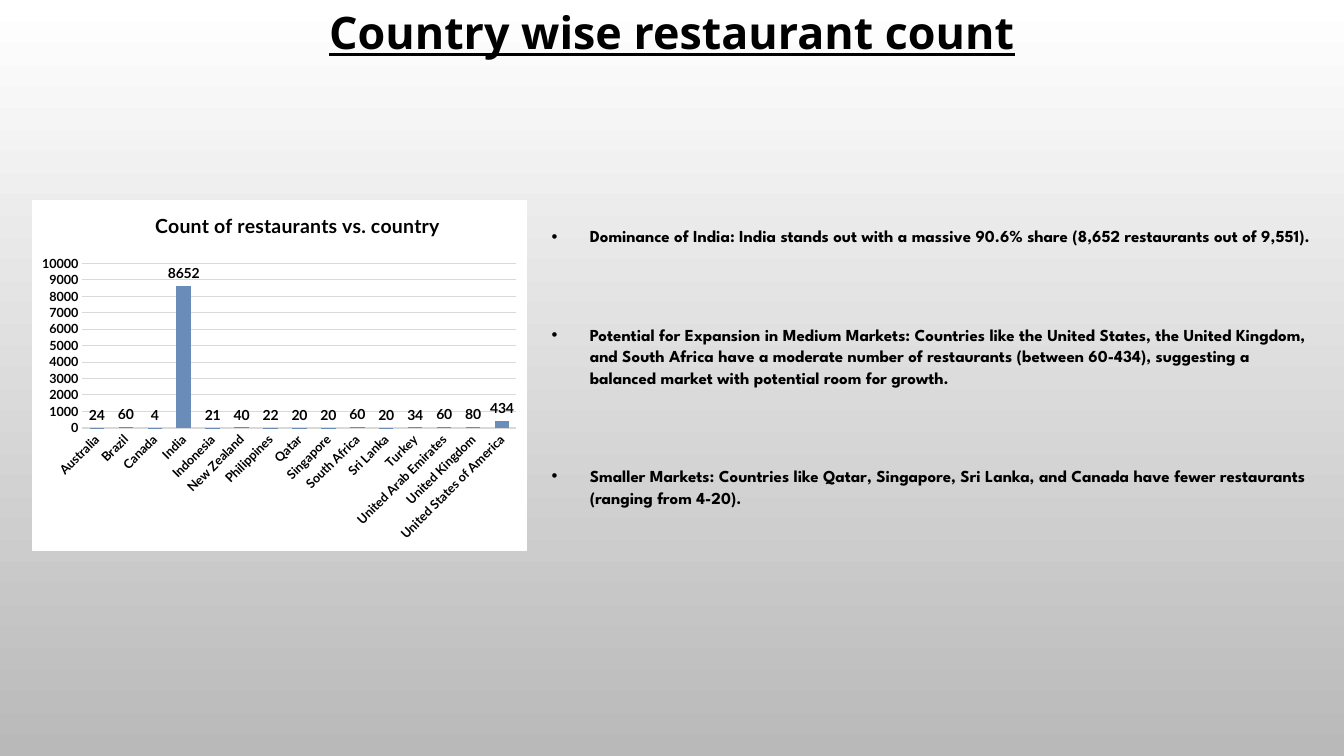
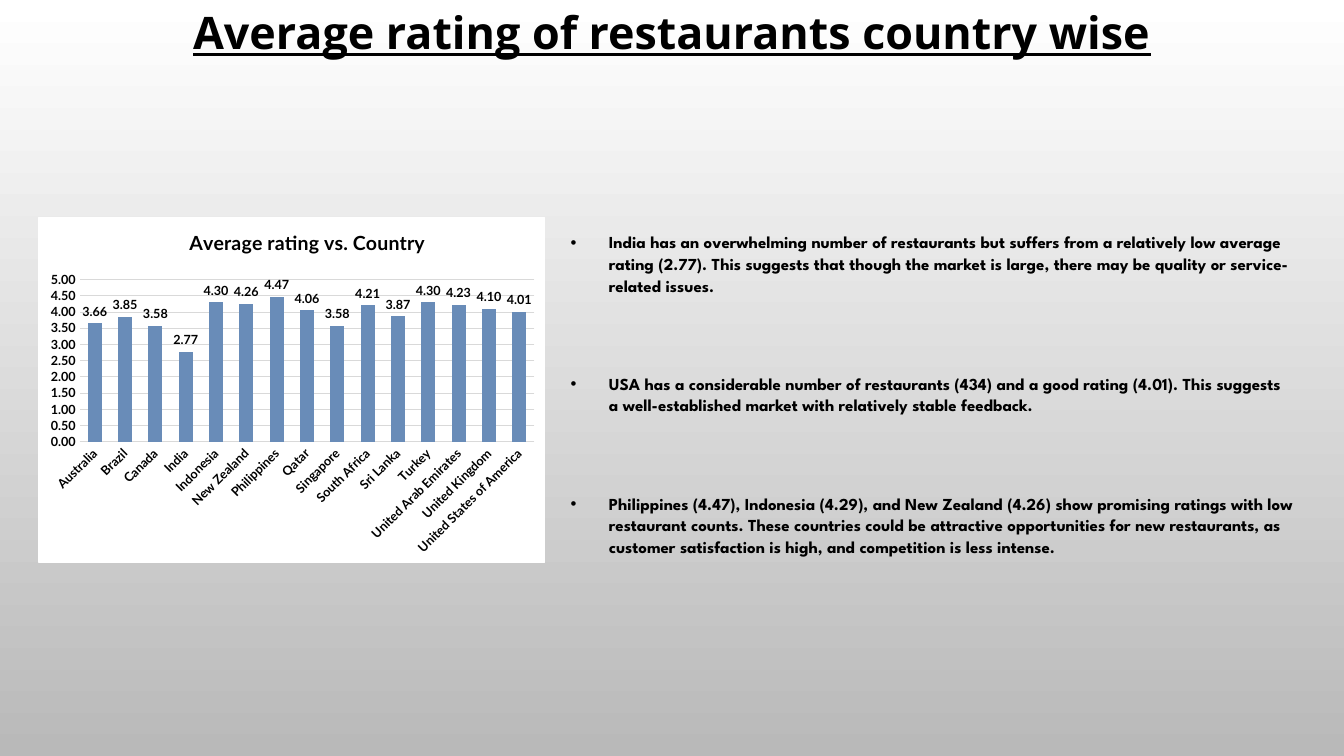
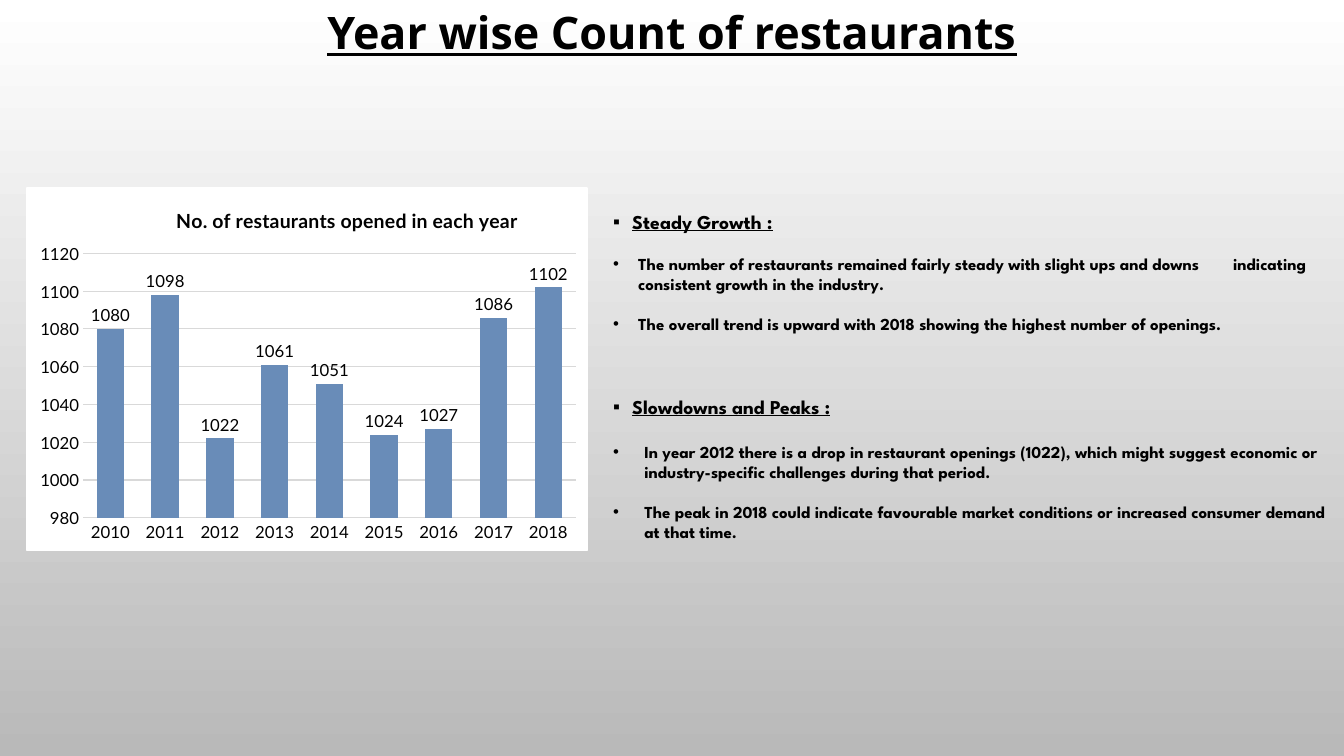
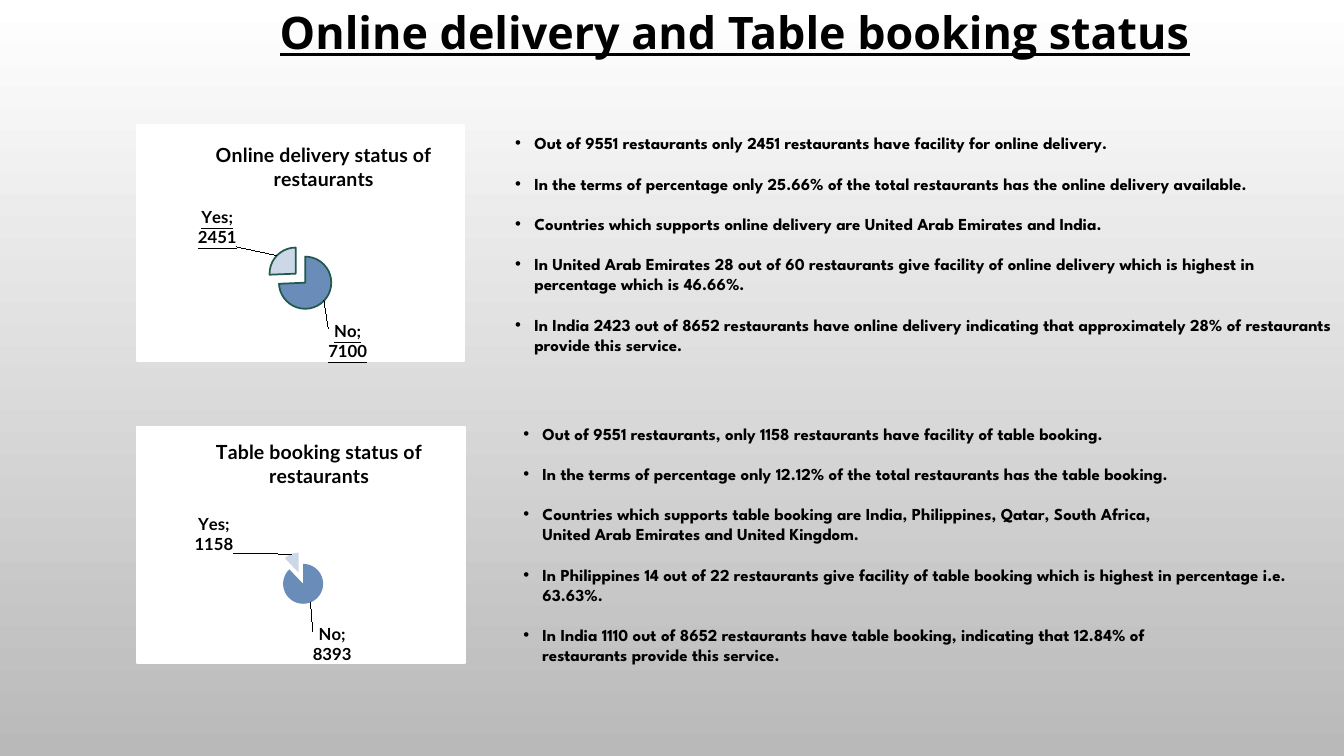
from lxml import etree
from pptx import Presentation
from pptx.chart.data import CategoryChartData
from pptx.dml.color import RGBColor
from pptx.enum.chart import XL_CHART_TYPE, XL_LABEL_POSITION, XL_TICK_MARK
from pptx.enum.text import MSO_ANCHOR, MSO_AUTO_SIZE, PP_ALIGN
from pptx.oxml import parse_xml
from pptx.oxml.ns import nsdecls, qn
from pptx.util import Inches, Pt

COLUMN, PIE = XL_CHART_TYPE.COLUMN_CLUSTERED, XL_CHART_TYPE.PIE
OUTSIDE_END = XL_LABEL_POSITION.OUTSIDE_END
NO_TICKS = XL_TICK_MARK.NONE
TOP = MSO_ANCHOR.TOP
NO_FIT = MSO_AUTO_SIZE.NONE
CENTER = PP_ALIGN.CENTER

COLORS = {"text": "000000", "page_top": "FFFFFF", "page_bottom": "B9B9B9",
          "panel": "FFFFFF", "grid": "D9D9D9", "bar": "698CB8",
          "pale": "CCD8E7", "slice_line": "21594C"}
RGB = {name: RGBColor.from_string(value) for name, value in COLORS.items()}
TITLE_FONT, BODY_FONT, CHART_FONT = "Open Sans", "League Spartan", "Lato"

# Space after list items, in points
WIDE, HEADING_GAP, SECTION_GAP, NARROW = 54.8, 16.8, 43.2, 14.4


def write_text(paragraph, text, font=BODY_FONT, size=12, underline=False, align=None,
               after=0, spacing=1.0, bullet=None, indent=0.0, hanging=True, tab=None):
    run = paragraph.add_run()
    run.text = text
    run.font.name, run.font.size = font, Pt(size)
    run.font.bold, run.font.underline = True, underline
    run.font.color.rgb = RGB["text"]
    if align is not None:
        paragraph.alignment = align
        return
    paragraph.line_spacing = spacing
    paragraph.space_before, paragraph.space_after = Pt(0), Pt(after)
    properties = paragraph._p.get_or_add_pPr()
    properties.set("marL", str(Inches(indent)))
    properties.set("indent", str(-Inches(indent) if hanging else 0))
    if bullet:
        etree.SubElement(properties, qn("a:buFont")).set("typeface", "Arial")
        etree.SubElement(properties, qn("a:buChar")).set("char", bullet)
    else:
        etree.SubElement(properties, qn("a:buNone"))
    if tab:
        stops = etree.SubElement(properties, qn("a:tabLst"))
        stop = etree.SubElement(stops, qn("a:tab"))
        stop.set("pos", str(Inches(tab)))
        stop.set("algn", "l")


def set_layout(parent, index, **settings):
    for old in parent.findall(qn("c:layout")):
        parent.remove(old)
    layout = etree.Element(qn("c:layout"))
    manual = etree.SubElement(layout, qn("c:manualLayout"))
    for name, value in settings.items():
        etree.SubElement(manual, qn("c:" + name)).set("val", str(value))
    parent.insert(index, layout)


# Content
COUNTRIES = ["Australia", "Brazil", "Canada", "India", "Indonesia", "New Zealand",
             "Philippines", "Qatar", "Singapore", "South Africa", "Sri Lanka", "Turkey",
             "United Arab Emirates", "United Kingdom", "United States of America"]
YEARS = [str(year) for year in range(2010, 2019)]

wide_item = dict(bullet="•", indent=0.38, spacing=1.07, after=WIDE)
heading = dict(bullet="▪", indent=0.19, size=14, underline=True)
growth_item = dict(bullet="•", indent=0.25, after=NARROW)
peak_item = dict(bullet="•", indent=0.31, after=NARROW)
short_item = dict(bullet="•", indent=0.19, after=NARROW)
open_item = dict(short_item, after=0)
second_line = dict(indent=0.19, hanging=False)

SLIDES = [
    dict(
        title="Country wise restaurant count",
        charts=[dict(
            kind=COLUMN, at=(0.32, 1.98, 4.91, 3.49), title="Count of restaurants vs. country",
            title_at=(0.24, 0.02), plot=(0.1, 0.18, 0.88, 0.47), categories=COUNTRIES,
            values=[24, 60, 4, 8652, 21, 40, 22, 20, 20, 60, 20, 34, 60, 80, 434],
            scale=(0, 10000, 1000), gap=100, overlap=-24, rotation=-45)],
        lists=[dict(at=(5.37, 2.18, 7.82, 3.13), items=[
            ("Dominance of India: India stands out with a massive 90.6% share (8,652 "
             "restaurants out of 9,551).", wide_item),
            ("Potential for Expansion in Medium Markets: Countries like the United States, "
             "the United Kingdom, and South Africa have a moderate number of restaurants "
             "(between 60-434), suggesting a balanced market with potential room for "
             "growth.", wide_item),
            ("Smaller Markets: Countries like Qatar, Singapore, Sri Lanka, and Canada have "
             "fewer restaurants (ranging from 4-20).", wide_item)])]),
    dict(
        title="Average rating of restaurants country wise",
        charts=[dict(
            kind=COLUMN, at=(0.38, 2.15, 5.03, 3.44), title="Average rating vs. Country",
            title_at=(0.29, 0.02), plot=(0.08, 0.18, 0.9, 0.47), categories=COUNTRIES,
            values=[3.66, 3.85, 3.58, 2.77, 4.3, 4.26, 4.47, 4.06, 3.58, 4.21, 3.87, 4.3,
                    4.23, 4.1, 4.01],
            scale=(0, 5, 0.5), gap=115, label_size=9, rotation=-45, number_format="0.00")],
        lists=[dict(at=(5.56, 1.91, 7.39, 3.68), inset=0.38, items=[
            ("India has an overwhelming number of restaurants but suffers from a relatively "
             "low average rating (2.77). This suggests that though the market is large, there "
             "may be quality or service-related issues.", wide_item),
            ("USA has a considerable number of restaurants (434) and a good rating (4.01). "
             "This suggests a well-established market with relatively stable feedback.",
             wide_item),
            ("Philippines (4.47), Indonesia (4.29), and New Zealand (4.26) show promising "
             "ratings with low restaurant counts. These countries could be attractive "
             "opportunities for new restaurants, as customer satisfaction is high, and "
             "competition is less intense.", wide_item)])]),
    dict(
        title="Year wise Count of restaurants",
        charts=[dict(
            kind=COLUMN, at=(0.26, 1.86, 5.57, 3.61),
            title="No. of restaurants opened in each year",
            title_at=(0.26, 0.04), plot=(0.1, 0.18, 0.88, 0.73), categories=YEARS,
            values=[1080, 1098, 1022, 1061, 1051, 1024, 1027, 1086, 1102],
            scale=(980, 1120, 20), gap=100, overlap=-24, label_size=12, axis_size=12,
            bold=False)],
        lists=[dict(at=(5.98, 2.03, 7.42, 3.43), items=[
            ("Steady Growth :", dict(heading, after=NARROW)),
            ("The number of restaurants remained fairly steady with slight ups and downs\t"
             "indicating consistent growth in the industry.", dict(growth_item, tab=6.15)),
            ("The overall trend is upward with 2018 showing the highest number of openings.",
             dict(growth_item, after=SECTION_GAP)),
            ("Slowdowns and Peaks :", dict(heading, after=HEADING_GAP)),
            ("In year 2012 there is a drop in restaurant openings (1022), which might suggest "
             "economic or industry-specific challenges during that period.", peak_item),
            ("The peak in 2018 could indicate favourable market conditions or increased "
             "consumer demand at that time.", peak_item)])]),
    dict(
        title="Online delivery and Table booking status", title_inset=1.35,
        charts=[
            dict(kind=PIE, at=(1.35, 1.23, 3.26, 2.36),
                 title="Online delivery status of restaurants",
                 title_at=(0.23, 0.05), plot=(0.4, 0.51, 0.2, 0.28),
                 categories=["No", "Yes"], values=[7100, 2451], explosion=25,
                 outlined=True, label_size=12, label_shifts=[(0, 0.1), (-0.11, -0.02)]),
            dict(kind=PIE, at=(1.35, 4.23, 3.27, 2.36),
                 title="Table booking status of restaurants",
                 title_at=(0.23, 0.03), plot=(0.42, 0.53, 0.16, 0.22),
                 categories=["No", "Yes"], values=[8393, 1158], explosion=30,
                 label_size=12, label_shifts=[(0, 0.1), (-0.17, 0.02)])],
        lists=[
            dict(at=(5.01, 1.27, 8.4, 2.32), items=[
                ("Out of 9551 restaurants only 2451 restaurants have facility for online "
                 "delivery.", short_item),
                ("In the terms of percentage only 25.66% of the total restaurants has the "
                 "online delivery available.", short_item),
                ("Countries which supports online delivery are United Arab Emirates and "
                 "India.", short_item),
                ("In United Arab Emirates 28 out of 60 restaurants give facility of online "
                 "delivery which is highest in percentage which is 46.66%.", short_item),
                ("In India 2423 out of 8652 restaurants have online delivery indicating that "
                 "approximately 28% of restaurants provide this service.", short_item)]),
            dict(at=(5.09, 4.15, 8.04, 2.52), items=[
                ("Out of 9551 restaurants, only 1158 restaurants have facility of table "
                 "booking.", short_item),
                ("In the terms of percentage only 12.12% of the total restaurants has the "
                 "table booking.", short_item),
                ("Countries which supports table booking are India, Philippines, Qatar, "
                 "South Africa,", open_item),
                ("United Arab Emirates and United Kingdom.", dict(second_line, after=NARROW)),
                ("In Philippines 14 out of 22 restaurants give facility of table booking "
                 "which is highest in percentage i.e. 63.63%.", short_item),
                ("In India 1110 out of 8652 restaurants have table booking, indicating that "
                 "12.84% of", open_item),
                ("restaurants provide this service.", second_line)])]),
]

# Shared page: size, gradient background and title band
prs = Presentation()
prs.slide_width, prs.slide_height = Inches(13.33), Inches(7.5)
page_fill = prs.slide_master.background.fill
page_fill.gradient()
page_fill.gradient_angle = 270
for stop, position, shade in zip(page_fill.gradient_stops, (0, 1), ("page_top", "page_bottom")):
    stop.position, stop.color.rgb = position, RGB[shade]
title_band = prs.slide_master.placeholders[0]
title_band.left, title_band.top = Inches(0), Inches(0)
title_band.width, title_band.height = prs.slide_width, Inches(0.64)

for content in SLIDES:
    # One list uses "Title and Content", two lists use "Two Content"
    layout_index = 1 if len(content["lists"]) == 1 else 3
    slide = prs.slides.add_slide(prs.slide_layouts[layout_index])

    # Title
    title_frame = slide.shapes.title.text_frame
    title_frame.vertical_anchor, title_frame.auto_size = TOP, NO_FIT
    title_frame.margin_left = Inches(content.get("title_inset", 0.1))
    write_text(title_frame.paragraphs[0], content["title"], font=TITLE_FONT, size=32,
               underline=True, align=CENTER)

    # Findings
    for number, findings in enumerate(content["lists"], start=1):
        body = slide.placeholders[number]
        body.left, body.top, body.width, body.height = map(Inches, findings["at"])
        frame = body.text_frame
        frame.auto_size, frame.word_wrap, frame.vertical_anchor = NO_FIT, True, TOP
        frame.margin_top = Inches(findings.get("inset", 0.05))
        for row, (text, style) in enumerate(findings["items"]):
            paragraph = frame.add_paragraph() if row else frame.paragraphs[0]
            write_text(paragraph, text, **style)

    # Charts
    for figure in content["charts"]:
        data = CategoryChartData()
        data.categories = figure["categories"]
        data.add_series("Series 1", figure["values"])
        chart = slide.shapes.add_chart(figure["kind"], *map(Inches, figure["at"]), data).chart
        chart.has_legend = False
        chart.font.name, chart.font.size = CHART_FONT, Pt(10)
        chart.font.color.rgb = RGB["text"]
        chart_space = chart._chartSpace
        chart_space.find(qn("c:chart")).addnext(parse_xml(
            f'<c:spPr {nsdecls("c", "a")}><a:solidFill><a:srgbClr val="{COLORS["panel"]}"/>'
            f'</a:solidFill><a:ln w="{Pt(1.25)}"><a:solidFill>'
            f'<a:srgbClr val="{COLORS["panel"]}"/></a:solidFill></a:ln></c:spPr>'))

        # Chart title and plot area
        chart.has_title = True
        write_text(chart.chart_title.text_frame.paragraphs[0], figure["title"],
                   font=CHART_FONT, size=14, align=CENTER)
        x, y = figure["title_at"]
        set_layout(chart_space.find(".//" + qn("c:title")), 1,
                   xMode="edge", yMode="edge", x=x, y=y)
        x, y, w, h = figure["plot"]
        set_layout(chart_space.find(".//" + qn("c:plotArea")), 0, layoutTarget="inner",
                   xMode="edge", yMode="edge", x=x, y=y, w=w, h=h)

        # Series and its labels
        plot = chart.plots[0]
        series = plot.series[0]
        bold = figure.get("bold", True)
        number_format = figure.get("number_format", "General")
        labels = series.data_labels
        labels.show_value, labels.position = True, OUTSIDE_END
        labels.number_format, labels.number_format_is_linked = number_format, False
        label_fonts = [labels.font]

        if figure["kind"] == PIE:
            plot.vary_by_categories = True
            labels.show_category_name = True
            explosion = parse_xml(
                f'<c:explosion {nsdecls("c")} val="{figure["explosion"]}"/>')
            series.format.fill.solid()
            series.format.fill.fore_color.rgb = RGB["bar"]
            series._element.find(qn("c:spPr")).addnext(explosion)
            for index, shade in enumerate(("bar", "pale")):
                point = series.points[index]
                point.format.fill.solid()
                point.format.fill.fore_color.rgb = RGB[shade]
                if figure.get("outlined"):
                    point.format.line.color.rgb = RGB["slice_line"]
                    point.format.line.width = Pt(1.25)
                point.data_label.font.underline = figure.get("outlined", False)
                point.data_label.position = OUTSIDE_END
                label_fonts.append(point.data_label.font)
            point_labels = series._element.findall(".//" + qn("c:dLbl"))
            for label, (x, y) in zip(point_labels, figure["label_shifts"]):
                label.find(qn("c:showCatName")).set("val", "1")
                set_layout(label, 1, x=x, y=y)
        else:
            plot.vary_by_categories = False
            plot.gap_width, plot.overlap = figure["gap"], figure.get("overlap", 0)
            series.format.fill.solid()
            series.format.fill.fore_color.rgb = RGB["bar"]

            # Axes
            categories, values = chart.category_axis, chart.value_axis
            values.minimum_scale, values.maximum_scale, values.major_unit = figure["scale"]
            values.major_gridlines.format.line.color.rgb = RGB["grid"]
            values.major_gridlines.format.line.width = Pt(0.75)
            values.format.line.fill.background()
            values.tick_labels.number_format = number_format
            values.tick_labels.number_format_is_linked = False
            categories.format.line.color.rgb = RGB["grid"]
            categories.format.line.width = Pt(1)
            for axis in (categories, values):
                axis.major_tick_mark = axis.minor_tick_mark = NO_TICKS
                axis_font = axis.tick_labels.font
                axis_font.name, axis_font.size = CHART_FONT, Pt(figure.get("axis_size", 9))
                axis_font.bold, axis_font.color.rgb = bold, RGB["text"]
            rotation = figure.get("rotation", 0) * 60000
            categories._element.find(".//" + qn("a:bodyPr")).set("rot", str(rotation))

        for label_font in label_fonts:
            label_font.name, label_font.size = CHART_FONT, Pt(figure.get("label_size", 10))
            label_font.bold, label_font.color.rgb = bold, RGB["text"]

prs.save("out.pptx")
